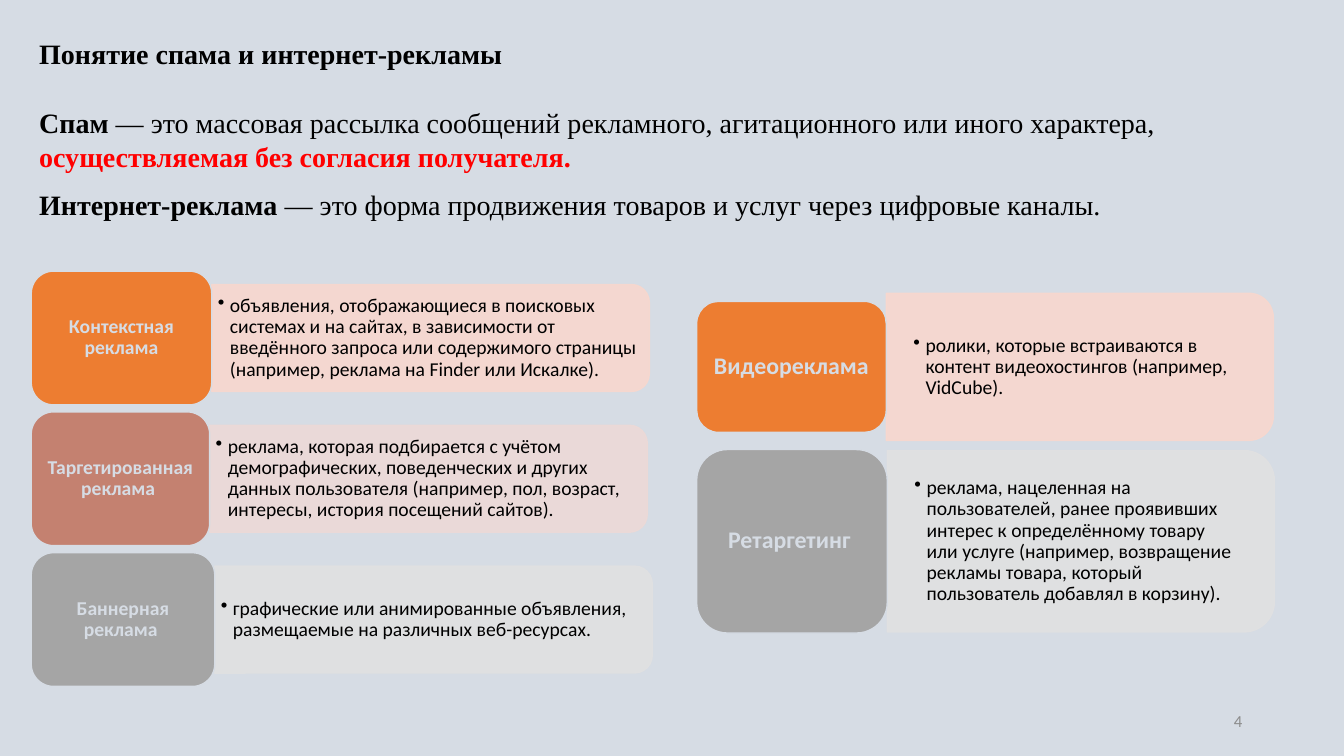
from lxml.etree import SubElement
from pptx import Presentation
from pptx.dml.color import RGBColor
from pptx.enum.shapes import MSO_SHAPE
from pptx.enum.text import MSO_ANCHOR, PP_ALIGN
from pptx.oxml.ns import qn
from pptx.util import Inches, Pt

BACK = RGBColor(0xD6, 0xDC, 0xE4)
BLACK = RGBColor(0, 0, 0)
RED = RGBColor(0xFF, 0, 0)
MUTED = RGBColor(0x8C, 0x8C, 0x8C)
ORANGE = RGBColor(0xED, 0x7D, 0x31)
CLAY = RGBColor(0xC4, 0x81, 0x70)
GREY = RGBColor(0xA5, 0xA5, 0xA5)
PEACH = RGBColor(0xF8, 0xD7, 0xCE)
ROSE = RGBColor(0xED, 0xD9, 0xD7)
PALE = RGBColor(0xE1, 0xE1, 0xE1)

SERIF, SANS = "Times New Roman", "Calibri"

# Label, label width, label colour, panel colour, description
LEFT = [
    ("Контекстная реклама", 1.79, ORANGE, PEACH,
     "объявления, отображающиеся в поисковых системах и на сайтах, в зависимости "
     "от введённого запроса или содержимого страницы (например, реклама на "
     "Finder или Искалке)."),
    ("Таргетированная реклама ", 1.77, CLAY, ROSE,
     "реклама, которая подбирается с учётом демографических, поведенческих и "
     "других данных пользователя (например, пол, возраст, интересы, история "
     "посещений сайтов)."),
    ("Баннерная реклама ", 1.82, GREY, PALE,
     "графические или анимированные объявления, размещаемые на различных "
     "веб-ресурсах."),
]
# As above, with top, label height and panel height at the end
RIGHT = [
    ("Видеореклама", 1.88, ORANGE, PEACH,
     "ролики, которые встраиваются в контент видеохостингов (например, VidCube).",
     2.99, 1.3, 1.46),
    ("Ретаргетинг ", 1.89, GREY, PALE,
     "реклама, нацеленная на пользователей, ранее проявивших интерес к "
     "определённому товару или услуге (например, возвращение рекламы товара, "
     "который пользователь добавлял в корзину).",
     4.46, 1.82, 1.8),
]


def style(run, size, face, color, bold=False):
    font = run.font
    font.size, font.name, font.bold = Pt(size), face, bold
    font.color.rgb = color


def inset(frame, side, end):
    frame.margin_left = frame.margin_right = Inches(side)
    frame.margin_top = frame.margin_bottom = Inches(end)
    frame.vertical_anchor = MSO_ANCHOR.MIDDLE
    frame.word_wrap = True


def add_box(slide, x, y, w, h):
    box = slide.shapes.add_textbox(Inches(x), Inches(y), Inches(w), Inches(h))
    box.text_frame.word_wrap = True
    return box.text_frame


def add_shape(slide, kind, x, y, w, h, fill, edge):
    shape = slide.shapes.add_shape(kind, Inches(x), Inches(y), Inches(w), Inches(h))
    shape.shadow.inherit = False
    shape.fill.solid()
    shape.fill.fore_color.rgb = fill
    shape.line.color.rgb = edge
    shape.line.width = Pt(1)
    return shape


def add_text(slide, x, y, w, h, parts):
    """One paragraph of serif text; parts are (text, colour, bold)."""
    para = add_box(slide, x, y, w, h).paragraphs[0]
    for text, color, bold in parts:
        run = para.add_run()
        run.text = text
        style(run, 20, SERIF, color, bold)


def add_panel(slide, x, y, w, h, fill, text, side, end):
    """Pale panel rounded on its right side, with a bulleted text."""
    # The preset is rounded on top, so it is turned about its centre
    panel = add_shape(slide, MSO_SHAPE.ROUND_2_SAME_RECTANGLE,
                      x + (w - h) / 2, y + (h - w) / 2, h, w, fill, fill)
    panel.rotation = 90
    for color in panel.element.spPr.iter(qn("a:srgbClr")):
        SubElement(color, qn("a:alpha")).set("val", "90000")

    pad = 0.05 * h
    frame = add_box(slide, x, y + pad, w - pad, h - 2 * pad)
    inset(frame, side, end)
    para = frame.paragraphs[0]
    para.text = text
    para.line_spacing = 0.9
    props = para._p.get_or_add_pPr()
    props.set("marL", str(Inches(0.12)))
    props.set("indent", str(-Inches(0.12)))
    SubElement(props, qn("a:buChar")).set("char", "•")
    style(para.runs[0], 14, SANS, BLACK)


def add_label(slide, x, y, w, h, fill, text, size):
    label = add_shape(slide, MSO_SHAPE.ROUNDED_RECTANGLE, x, y, w, h, fill, BACK)
    inset(label.text_frame, 0.06, 0.03)
    para = label.text_frame.paragraphs[0]
    para.text = text
    para.alignment = PP_ALIGN.CENTER
    para.line_spacing = 0.9
    style(para.runs[0], size, SANS, BACK, True)


def add_head(slide, x, y, w):
    add_text(slide, x, y, 6.66, 0.44,
             [("Понятие спама и интернет-рекламы", BLACK, True)])
    add_text(slide, x, y + 0.69, w, 0.77, [
        ("Спам", BLACK, True),
        (" — это массовая рассылка сообщений рекламного, агитационного или "
         "иного характера, ", BLACK, False),
        ("осуществляемая без согласия получателя.", RED, True)])
    add_text(slide, x, y + 1.5, w, 0.44, [
        ("Интернет-реклама", BLACK, True),
        (" — это форма продвижения товаров и услуг через цифровые каналы.",
         BLACK, False)])


def add_left(slide, x, y, h):
    """Equal rows sharing the height of the column."""
    gap = 0.07
    tall = (h - gap * (len(LEFT) - 1)) / len(LEFT)
    deep = 0.8 * tall
    for i, (name, wide, fill, pale, text) in enumerate(LEFT):
        top = y + i * (tall + gap)
        add_panel(slide, x + wide, top + (tall - deep) / 2, 4.34, deep,
                  pale, text, 0.06, 0.03)
        add_label(slide, x, top, wide, tall, fill, name, 14)


def add_right(slide, x):
    for name, wide, fill, pale, text, top, tall, deep in RIGHT:
        add_panel(slide, x + wide, top + (tall - deep) / 2, 3.84, deep,
                  pale, text, 0.27, 0.14)
        add_label(slide, x, top, wide, tall, fill, name, 17)


def add_number(slide, x, y, w, h):
    frame = add_box(slide, x, y, w, h)
    frame.vertical_anchor = MSO_ANCHOR.MIDDLE
    para = frame.paragraphs[0]
    para.text = "4"
    para.alignment = PP_ALIGN.RIGHT
    style(para.runs[0], 12, SANS, MUTED)


def main():
    deck = Presentation()
    deck.slide_width, deck.slide_height = Inches(13.33), Inches(7.5)
    slide = deck.slides.add_slide(deck.slide_layouts[6])
    slide.background.fill.solid()
    slide.background.fill.fore_color.rgb = BACK

    add_head(slide, 0.29, 0.31, 11.96)
    add_left(slide, 0.31, 2.69, 4.12)
    add_right(slide, 6.91)
    add_number(slide, 9.42, 6.95, 3, 0.4)
    deck.save("out.pptx")


if __name__ == "__main__":
    main()
